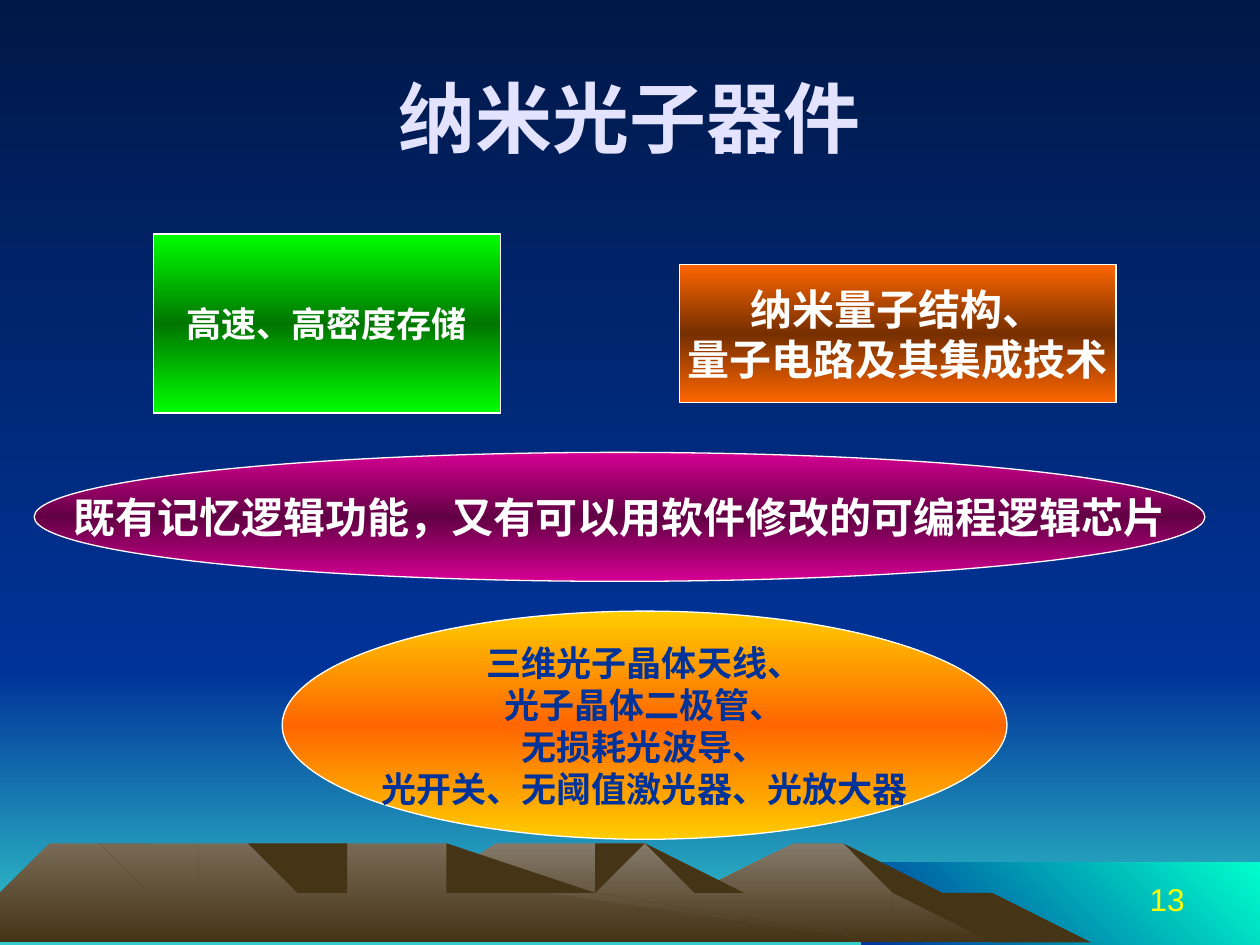
from copy import deepcopy
from dataclasses import dataclass

from pptx import Presentation
from pptx.dml.color import RGBColor
from pptx.enum.shapes import MSO_SHAPE
from pptx.enum.text import MSO_ANCHOR, PP_ALIGN
from pptx.oxml.ns import qn
from pptx.util import Cm, Pt


@dataclass(frozen=True)
class Theme:
    font: str = "Arial"
    title_size: int = 44
    large: int = 24
    medium: int = 20
    number_size: int = 18
    title: str = "E3E3FF"
    white: str = "FFFFFF"
    navy: str = "003399"
    yellow: str = "FFFF00"
    rock: str = "463416"
    night: tuple = ("001847", "003399")
    dusk: tuple = ("003399", "33CCCC")
    water: tuple = ("003399", "00FFCC")
    far_slope: tuple = ("857A6A", "463416")
    near_slope: tuple = ("786A56", "463416")
    green: tuple = ("00FF00", "007600", "00FF00")
    purple: tuple = ("D60093", "620044", "D60093")
    orange: tuple = ("FF6600", "762F00", "FF6600")
    gold: tuple = ("FFCC00", "FF6600", "FFCC00")


theme = Theme()


def paint(shape, colors, angle=270):
    """Fill with one colour (a string) or with an even gradient (a tuple)."""
    shape.shadow.inherit = False
    shape.line.fill.background()
    if isinstance(colors, str):
        shape.fill.solid()
        shape.fill.fore_color.rgb = RGBColor.from_string(colors)
        return
    shape.fill.gradient()
    shape.fill.gradient_angle = angle
    stop_list = next(shape._element.spPr.iter(qn("a:gsLst")))
    while len(stop_list) < len(colors):
        stop_list.append(deepcopy(stop_list[0]))
    for i, (stop, color) in enumerate(zip(shape.fill.gradient_stops, colors)):
        stop.position = i / (len(colors) - 1)
        stop.color.rgb = RGBColor.from_string(color)


def write(shape, lines, size, color, align=PP_ALIGN.CENTER, anchor=MSO_ANCHOR.MIDDLE,
          bold=True, wrap=True):
    frame = shape.text_frame
    frame.word_wrap = wrap
    frame.vertical_anchor = anchor
    frame.text = "\n".join(lines)
    for paragraph in frame.paragraphs:
        paragraph.alignment = align
        paragraph.font.name = theme.font
        paragraph.font.size = Pt(size)
        paragraph.font.bold = bold
        paragraph.font.color.rgb = RGBColor.from_string(color)


prs = Presentation()
prs.slide_width, prs.slide_height = Cm(25.4), Cm(19.05)
slide = prs.slides.add_slide(prs.slide_layouts[5])
shapes = slide.shapes

# Sky and water: left, top, width, height in cm
horizon = 13.54
for left, top, width, height, colors, angle in [
    (0, horizon, 25.4, 5.51, theme.dusk, 270),
    (0, 0, 25.4, horizon, theme.night, 270),
    (17.35, 17.38, 8.05, 1.67, theme.water, 45),
]:
    band = shapes.add_shape(MSO_SHAPE.RECTANGLE, Cm(left), Cm(top), Cm(width), Cm(height))
    paint(band, colors, angle)

# Mountains from back to front: outlines in cm
mountains = [
    (theme.far_slope, [
        (20.8, 19.05), (18.4, 17.7), (17.4, 16.76), (16, 17.04), (14.4, 17.7), (13.6, 17.5),
        (13.4, 17.1), (12, 16.7), (10, 17.35), (6.6, 19.05)]),
    (theme.rock, [
        (21.8, 19.05), (20.2, 18.4), (19.6, 18.4), (18.6, 17.85), (17.4, 16.76), (17.7, 17.8),
        (17.6, 18.6), (18.3, 18.2), (20, 19.05)]),
    (theme.rock, [(12, 16.7), (11.9, 17.1), (11.8, 18.5), (12.6, 17.05)]),
    (theme.rock, [(13.4, 17.1), (13.6, 17.7), (14.7, 18.4), (14.6, 17.8), (15, 17.5)]),
    (theme.rock, [(16, 17.04), (16.3, 17.35), (16.7, 17.04)]),
    (theme.near_slope, [
        (17.5, 19.05), (11, 18.1), (9, 16.9), (8.1, 16.9), (6.9, 17.3), (6, 17.3),
        (5.4, 16.7), (4.9, 16.7), (4.1, 17.04), (2.4, 17.04), (1.7, 16.8), (0.7, 17.4),
        (0, 17.5), (0, 19.05)]),
    (theme.rock, [
        (5.4, 16.75), (5.3, 17), (5.9, 17.5), (6.1, 17.5), (6.8, 18), (6.6, 17.5), (6.9, 17.3)]),
    (theme.rock, [
        (9, 16.9), (8.6, 17), (8.6, 17.4), (9.2, 17.55), (9.5, 18.1), (10.3, 18.45),
        (12, 18.45), (17.5, 19.05), (11.6, 17.95)]),
    (theme.rock, [(8.1, 16.9), (8.4, 17.1), (8.1, 17.07)]),
    (theme.rock, [(3.8, 16.95), (4.3, 17), (4.2, 17.3), (4.5, 17.65)]),
    (theme.rock, [(3.1, 17), (3.4, 17), (3.35, 17.3)]),
    (theme.rock, [
        (1.75, 16.8), (2.8, 17), (2.4, 17.4), (2.55, 17.7), (2, 17.2)]),
]
for colors, outline in mountains:
    builder = shapes.build_freeform(*outline[0], scale=Cm(1))
    builder.add_line_segments(outline[1:], close=True)
    paint(builder.convert_to_shape(), colors)

page_number = shapes.add_textbox(Cm(18.21), Cm(17.35), Cm(5.92), Cm(1.27))
write(page_number, ["13"], theme.number_size, theme.yellow, PP_ALIGN.RIGHT,
      MSO_ANCHOR.BOTTOM, bold=False)

title = shapes.title
title.left, title.top, title.width, title.height = Cm(1.27), Cm(0.76), Cm(22.86), Cm(3.18)
write(title, ["纳米光子器件"], theme.title_size, theme.title)
shapes._spTree.append(title._element)  # bring in front of the scenery

# Device topics: left, top, width, height in cm
topics = [
    (MSO_SHAPE.RECTANGLE, (3.09, 4.72, 7, 3.61), theme.green, theme.medium, theme.white,
     ["高速、高密度存储"]),
    (MSO_SHAPE.OVAL, (0.69, 9.12, 23.6, 2.6), theme.purple, theme.large, theme.white,
     ["既有记忆逻辑功能，又有可以用软件修改的可编程逻辑芯片"]),
    (MSO_SHAPE.RECTANGLE, (13.7, 5.33, 8.8, 2.79), theme.orange, theme.large, theme.white,
     ["纳米量子结构、", "量子电路及其集成技术"]),
    (MSO_SHAPE.OVAL, (5.69, 12.32, 14.61, 4.6), theme.gold, theme.medium, theme.navy,
     ["三维光子晶体天线、", "光子晶体二极管、", "无损耗光波导、",
      "光开关、无阈值激光器、光放大器"]),
]
for kind, box, colors, size, text_color, lines in topics:
    topic = shapes.add_shape(kind, *(Cm(length) for length in box))
    paint(topic, colors)
    topic.line.color.rgb = RGBColor.from_string(theme.white)
    topic.line.width = Pt(0.75)
    write(topic, lines, size, text_color, wrap=False)

prs.save("out.pptx")
